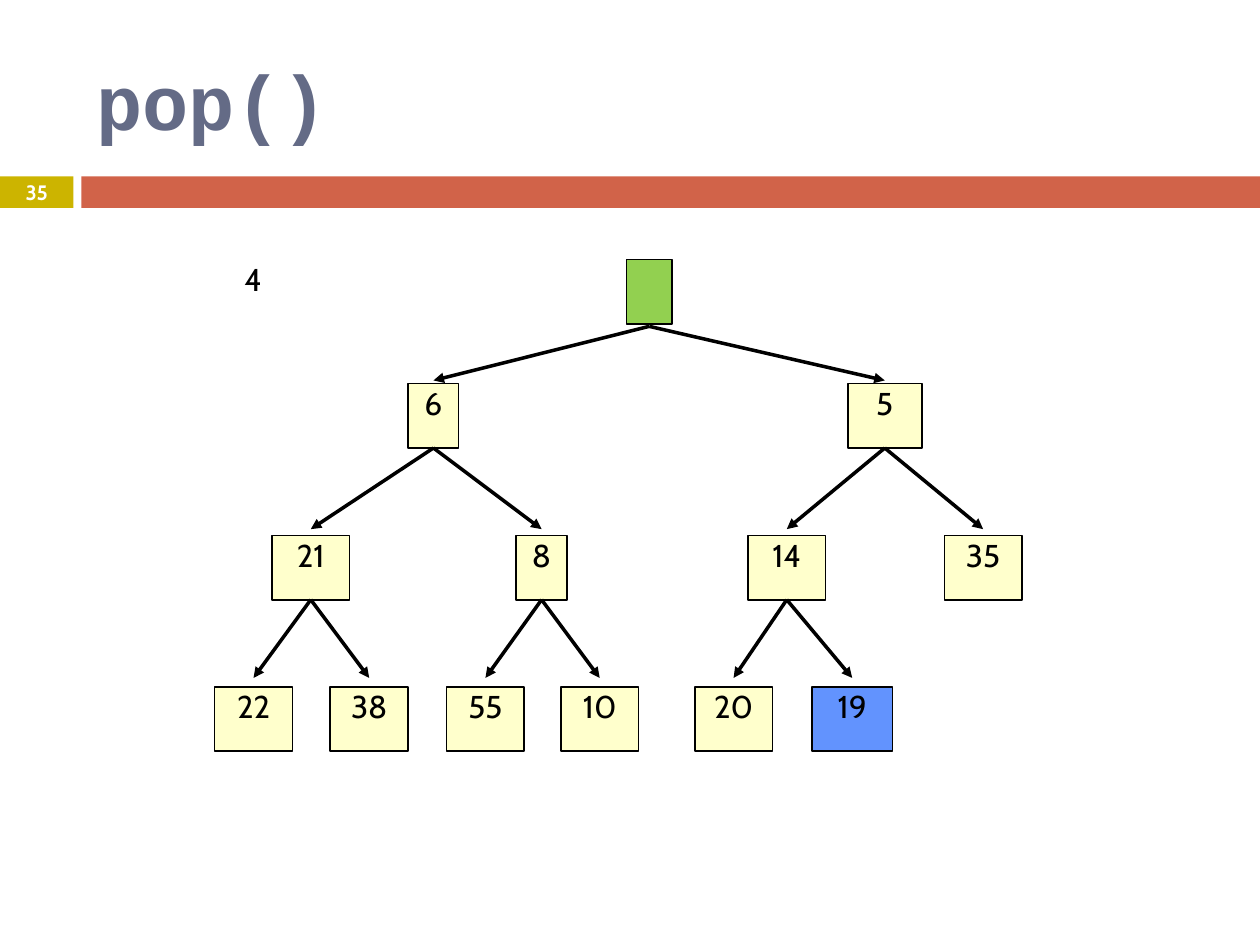
from lxml import etree
from pptx import Presentation
from pptx.dml.color import RGBColor
from pptx.enum import shapes as sh, text as tx
from pptx.oxml import ns
from pptx.util import Pt

BLACK = RGBColor(0, 0, 0)
WHITE = RGBColor(255, 255, 255)
SLATE = RGBColor(0x64, 0x6B, 0x86)
GOLD = RGBColor(0xCC, 0xB4, 0x00)
RUST = RGBColor(0xD1, 0x63, 0x49)
CREAM = RGBColor(0xFF, 0xFF, 0xCC)
GREEN = RGBColor(0x92, 0xD0, 0x50)
BLUE = RGBColor(0x62, 0x93, 0xFE)

HIGH = 36.7
TOPS = [148.3, 219.2, 306, 392.4]
TIPS = [None, 217.4, 302.4, 387.4]
FEET = [186.5, 256, 342.7]

NODES = {
    "root": (None, 0, 371, 26, GREEN),
    "6": ("root", 1, 247.7, 28.8, CREAM),
    "5": ("root", 1, 505.6, 42.4, CREAM),
    "21": ("6", 2, 177.6, 44.2, CREAM),
    "8": ("6", 2, 309.5, 28.8, CREAM),
    "14": ("5", 2, 449.6, 44.2, CREAM),
    "35": ("5", 2, 561.8, 44.2, CREAM),
    "22": ("21", 3, 144.9, 44.5, CREAM),
    "38": ("21", 3, 211, 44.5, CREAM),
    "55": ("8", 3, 277.4, 44.5, CREAM),
    "10": ("8", 3, 342.7, 44.5, CREAM),
    "20": ("14", 3, 419.2, 44.5, CREAM),
    "19": ("14", 3, 487, 46, BLUE),
}


def style(item, **vals):
    for key, val in vals.items():
        setattr(item, key, val)


def place(shape, left, top, width, height):
    style(shape, left=Pt(left), top=Pt(top), width=Pt(width), height=Pt(height))


def write(shape, words, size, color, bold=False, font="Cabin",
          align=tx.PP_ALIGN.CENTER, anchor=tx.MSO_ANCHOR.TOP, pad=0):
    frame = shape.text_frame
    style(frame, word_wrap=True, auto_size=tx.MSO_AUTO_SIZE.NONE,
          vertical_anchor=anchor, margin_left=Pt(pad), margin_right=Pt(pad),
          margin_top=0, margin_bottom=0)
    para = frame.paragraphs[0]
    para.alignment = align
    run = para.add_run()
    run.text = words
    style(run.font, size=Pt(size), name=font, bold=bold)
    run.font.color.rgb = color


def box(slide, left, top, width, height, fill, edge=None):
    shape = slide.shapes.add_shape(
        sh.MSO_SHAPE.RECTANGLE, Pt(left), Pt(top), Pt(width), Pt(height))
    shape.shadow.inherit = False
    shape.fill.solid()
    shape.fill.fore_color.rgb = fill
    if edge is None:
        shape.line.fill.background()
    else:
        shape.line.color.rgb = edge
        shape.line.width = Pt(1)
    return shape


def arrow(slide, *ends):
    link = slide.shapes.add_connector(
        sh.MSO_CONNECTOR.STRAIGHT, *[Pt(end) for end in ends])
    link.line.color.rgb = BLACK
    link.line.width = Pt(2)
    props = link._element.spPr
    tail = etree.SubElement(props.find(ns.qn("a:ln")), ns.qn("a:tailEnd"))
    tail.set("type", "triangle")
    etree.SubElement(props, ns.qn("a:effectLst"))


def node(slide, name, level, mid, width, fill):
    shape = box(slide, mid - width / 2, TOPS[level], width, HIGH, fill, BLACK)
    if name != "root":
        write(shape, name, 18, BLACK)


def tree(slide):
    for name, (top, level, mid, width, fill) in NODES.items():
        node(slide, name, level, mid, width, fill)
        if top:
            arrow(slide, NODES[top][2], FEET[level - 1], mid, TIPS[level])


def header(slide):
    title = slide.shapes.title
    place(title, 48, 18, 642, 78)
    write(title, "pop()", 44, SLATE, True, "Courier New",
          tx.PP_ALIGN.LEFT, tx.MSO_ANCHOR.MIDDLE, 7.2)
    tab = box(slide, 0, 100.8, 42, 18, GOLD)
    write(tab, "35", 11.9, WHITE, True, anchor=tx.MSO_ANCHOR.MIDDLE)
    box(slide, 46.5, 100.8, 673.5, 18, RUST)


def main():
    deck = Presentation()
    style(deck, slide_width=Pt(720), slide_height=Pt(540))
    slide = deck.slides.add_slide(deck.slide_layouts[5])
    header(slide)
    tree(slide)
    label = slide.shapes.add_textbox(Pt(131.7), Pt(TOPS[0]), Pt(26), Pt(35.3))
    write(label, "4", 18, BLACK)
    deck.save("out.pptx")


main()
